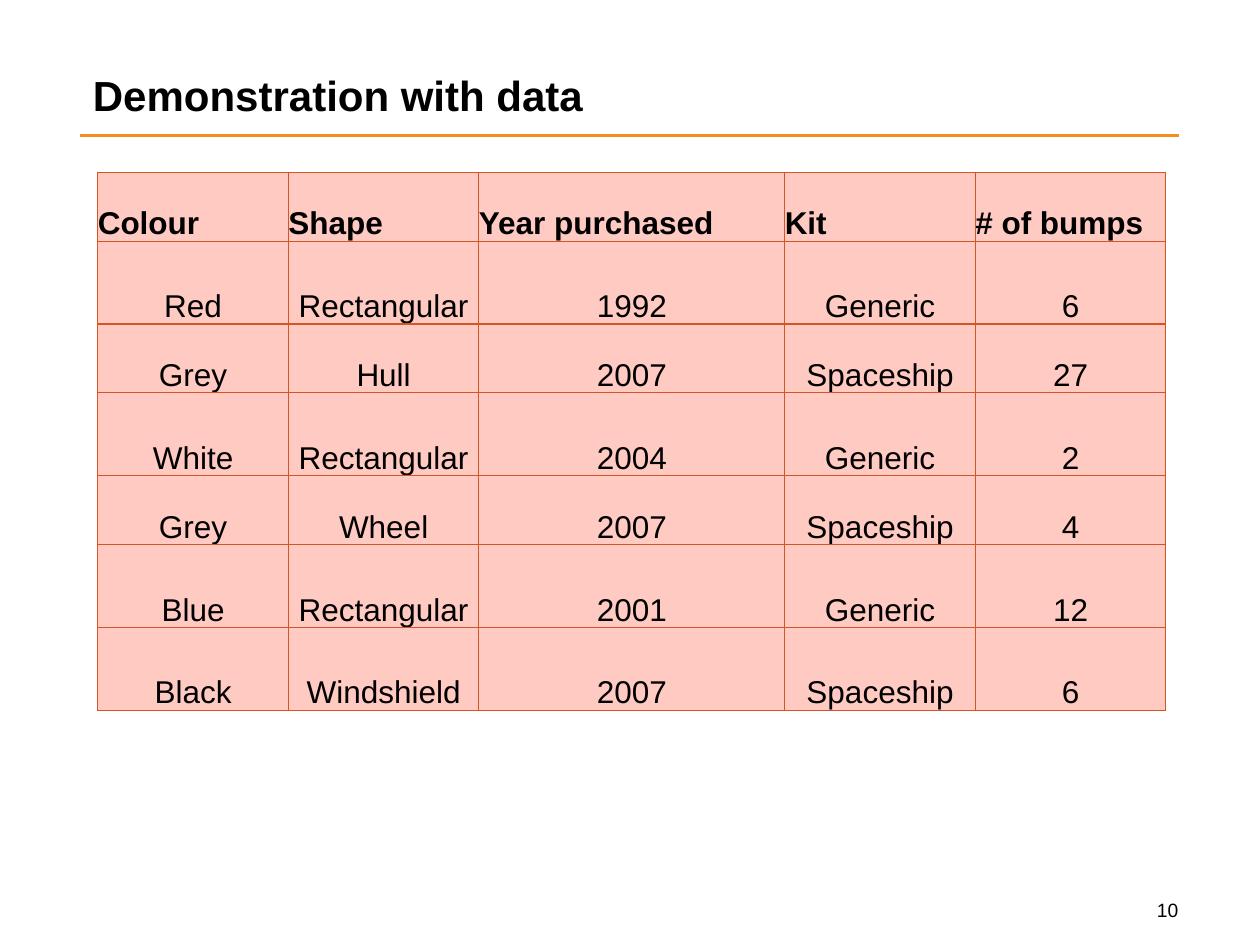
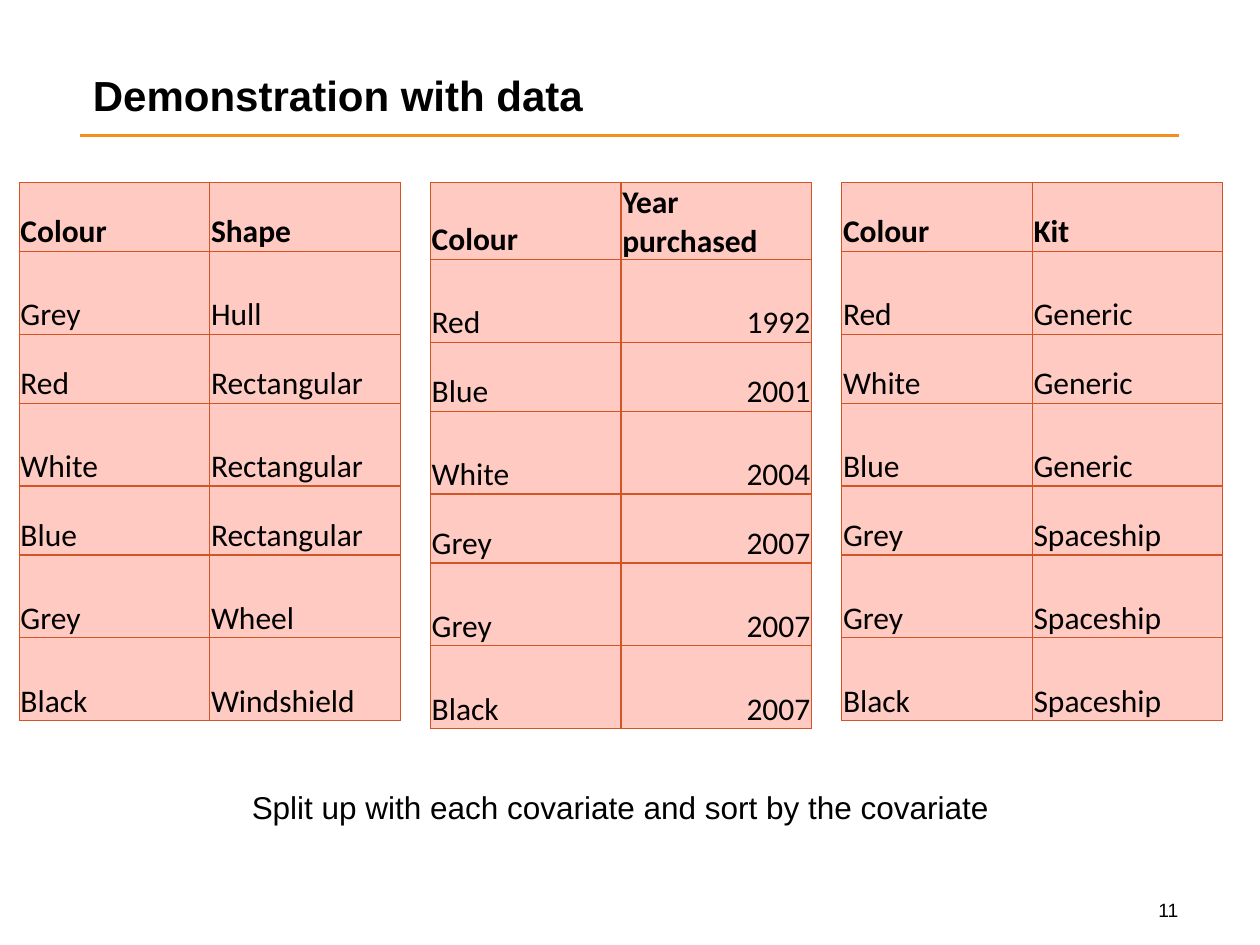
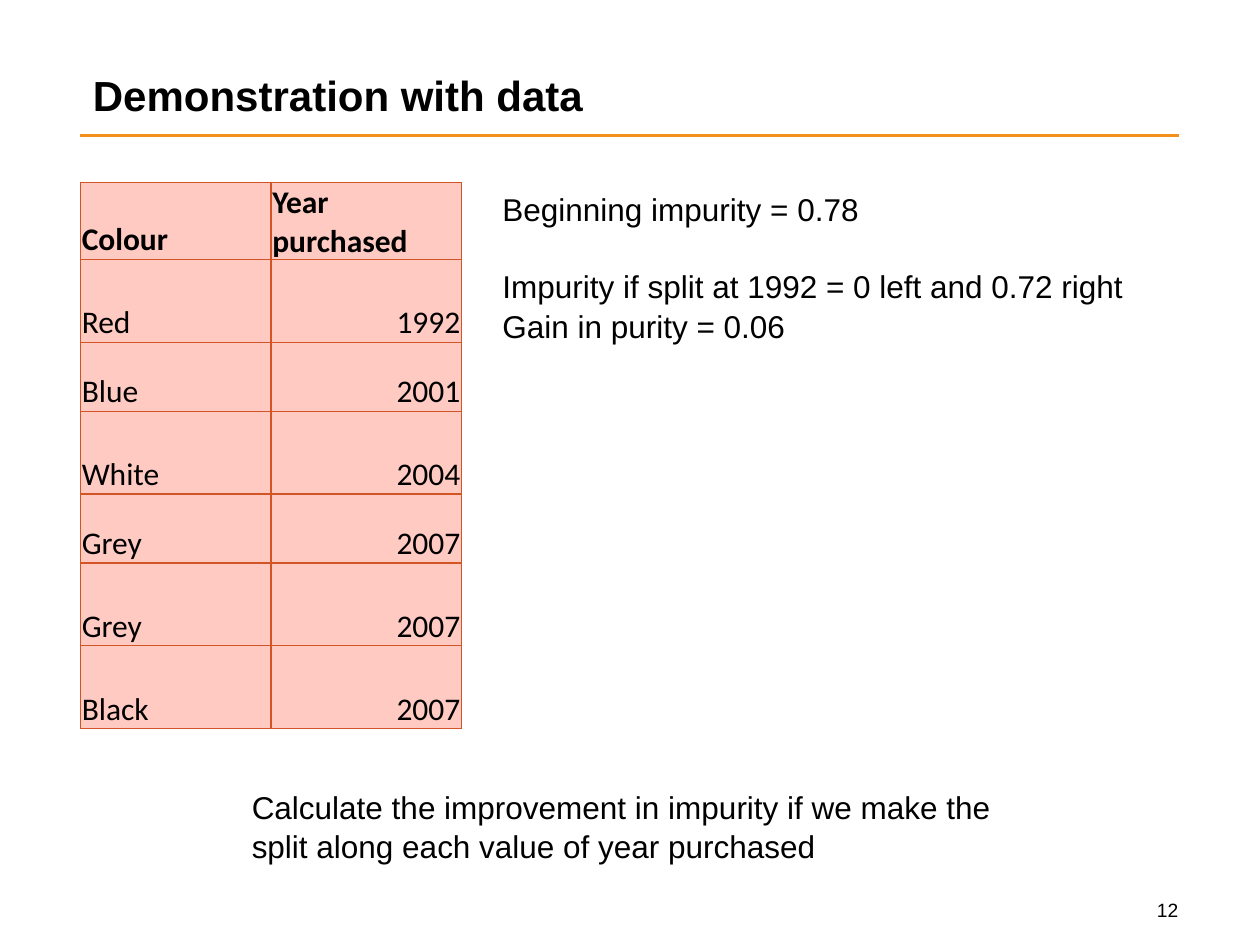
from lxml import etree
from pptx import Presentation
from pptx.dml.color import RGBColor
from pptx.enum import shapes, text
from pptx.oxml import ns
from pptx.util import Pt

BLACK, ORANGE, RUST, PINK = "000000", "F3901D", "D35425", "FFCAC2"
LEFT, CENTER, RIGHT = text.PP_ALIGN.LEFT, text.PP_ALIGN.CENTER, text.PP_ALIGN.RIGHT
TITLE = "Demonstration with data"
FIRST_NUMBER = 10
COLUMN, WIDE_COLUMN = 108.9, 174.8
SHORT_ROW, TALL_ROW = 39.4, 47.4
ROW_HEIGHTS = [SHORT_ROW, TALL_ROW] * 3 + [TALL_ROW]
PAIR_TOP, PAIR_LEFT, PAIR_STEP = 104.2, 11, 235
NOTE_BOX = (136.8, 445.7, 449.3)


def color(hex_string):
    return RGBColor.from_string(hex_string)


def write(frame, content, size=18, font="Arial", bold=False, align=LEFT, spacing=1.0, gap=0):
    frame.word_wrap = True
    for index, line in enumerate(content.split("\n")):
        paragraph = frame.add_paragraph() if index else frame.paragraphs[0]
        paragraph.alignment = align
        paragraph.line_spacing = spacing
        paragraph.space_after = Pt(0 if index else gap)
        run = paragraph.add_run()
        run.text = line
        run.font.size = Pt(size)
        run.font.name = font
        run.font.bold = bold
        run.font.color.rgb = color(BLACK)


bricks = [
    ("Colour", "Shape", "Year purchased", "Kit", "# of bumps"),
    ("Red", "Rectangular", "1992", "Generic", "6"),
    ("Grey", "Hull", "2007", "Spaceship", "27"),
    ("White", "Rectangular", "2004", "Generic", "2"),
    ("Grey", "Wheel", "2007", "Spaceship", "4"),
    ("Blue", "Rectangular", "2001", "Generic", "12"),
    ("Black", "Windshield", "2007", "Spaceship", "6"),
]
by_shape = [
    ("Colour", "Shape"),
    ("Grey", "Hull"),
    ("Red", "Rectangular"),
    ("White", "Rectangular"),
    ("Blue", "Rectangular"),
    ("Grey", "Wheel"),
    ("Black", "Windshield"),
]
by_year = [
    ("Colour", "Year purchased"),
    ("Red", "1992"),
    ("Blue", "2001"),
    ("White", "2004"),
    ("Grey", "2007"),
    ("Grey", "2007"),
    ("Black", "2007"),
]
by_kit = [
    ("Colour", "Kit"),
    ("Red", "Generic"),
    ("White", "Generic"),
    ("Blue", "Generic"),
    ("Grey", "Spaceship"),
    ("Grey", "Spaceship"),
    ("Black", "Spaceship"),
]

full_style = dict(
    font="Arial",
    inset=0,
    widths=[COLUMN, COLUMN, WIDE_COLUMN, COLUMN, COLUMN],
    aligns=[CENTER] * 5,
)
pair_style = dict(font="Calibri", inset=0.72, widths=[COLUMN] * 2, aligns=[LEFT] * 2)
year_style = {**pair_style, "aligns": [LEFT, RIGHT]}
pair_tables = [(by_shape, pair_style), (by_year, year_style), (by_kit, pair_style)]

slides = [
    ([(bricks, 55.9, 98.4, full_style)], []),
    (
        [
            (rows, PAIR_LEFT + index * PAIR_STEP, PAIR_TOP, style)
            for index, (rows, style) in enumerate(pair_tables)
        ],
        [("Split up with each covariate and sort by the covariate", *NOTE_BOX, 28.8)],
    ),
    (
        [(by_year, 46, PAIR_TOP, year_style)],
        [
            (
                "Calculate the improvement in impurity if we make the split "
                "along each value of year purchased",
                *NOTE_BOX,
                51,
            ),
            (
                "Beginning impurity = 0.78\n"
                "Impurity if split at 1992 = 0 left and 0.72 right\n"
                "Gain in purity = 0.06",
                280, 104.4, 395.3, 138.2,
            ),
        ],
    ),
]

presentation = Presentation()
presentation.slide_width = Pt(720)
presentation.slide_height = Pt(540)

for number, (tables, notes) in enumerate(slides, FIRST_NUMBER):
    slide = presentation.slides.add_slide(presentation.slide_layouts[6])

    rule = slide.shapes.add_connector(
        shapes.MSO_CONNECTOR.STRAIGHT, Pt(46), Pt(77.5), Pt(674), Pt(77.5)
    )
    rule.line.color.rgb = color(ORANGE)
    rule.line.width = Pt(1.5)
    etree.SubElement(rule._element.spPr, ns.qn("a:effectLst"))

    number_box = slide.shapes.add_textbox(Pt(617), Pt(509.8), Pt(63.4), Pt(20.9))
    write(number_box.text_frame, str(number), size=11, align=RIGHT)

    title_box = slide.shapes.add_textbox(Pt(46), Pt(36), Pt(502.6), Pt(36))
    title_box.text_frame.vertical_anchor = text.MSO_ANCHOR.BOTTOM
    write(title_box.text_frame, TITLE, size=24, bold=True)

    for rows, left, top, style in tables:
        widths = style["widths"]
        table = slide.shapes.add_table(
            len(rows), len(widths), Pt(left), Pt(top), Pt(sum(widths)), Pt(sum(ROW_HEIGHTS))
        ).table
        table.horz_banding = False
        for column, width in zip(table.columns, widths):
            column.width = Pt(width)
        for row_index, values in enumerate(rows):
            table.rows[row_index].height = Pt(ROW_HEIGHTS[row_index])
            is_header = row_index == 0
            for column_index, value in enumerate(values):
                cell = table.cell(row_index, column_index)
                cell.margin_left = cell.margin_right = cell.margin_top = Pt(style["inset"])
                cell.margin_bottom = Pt(0)
                cell.vertical_anchor = text.MSO_ANCHOR.BOTTOM
                properties = cell._tc.get_or_add_tcPr()
                for side in ("lnL", "lnR", "lnT", "lnB"):
                    border = etree.SubElement(properties, ns.qn(f"a:{side}"), w=str(Pt(0.75)))
                    border_fill = etree.SubElement(border, ns.qn("a:solidFill"))
                    etree.SubElement(border_fill, ns.qn("a:srgbClr"), val=RUST)
                cell.fill.solid()
                cell.fill.fore_color.rgb = color(PINK)
                write(
                    cell.text_frame,
                    value,
                    font=style["font"],
                    bold=is_header,
                    align=LEFT if is_header else style["aligns"][column_index],
                )

    for content, left, top, width, height in notes:
        note_box = slide.shapes.add_textbox(Pt(left), Pt(top), Pt(width), Pt(height))
        write(note_box.text_frame, content, spacing=1.04, gap=21.5)

presentation.save("out.pptx")
